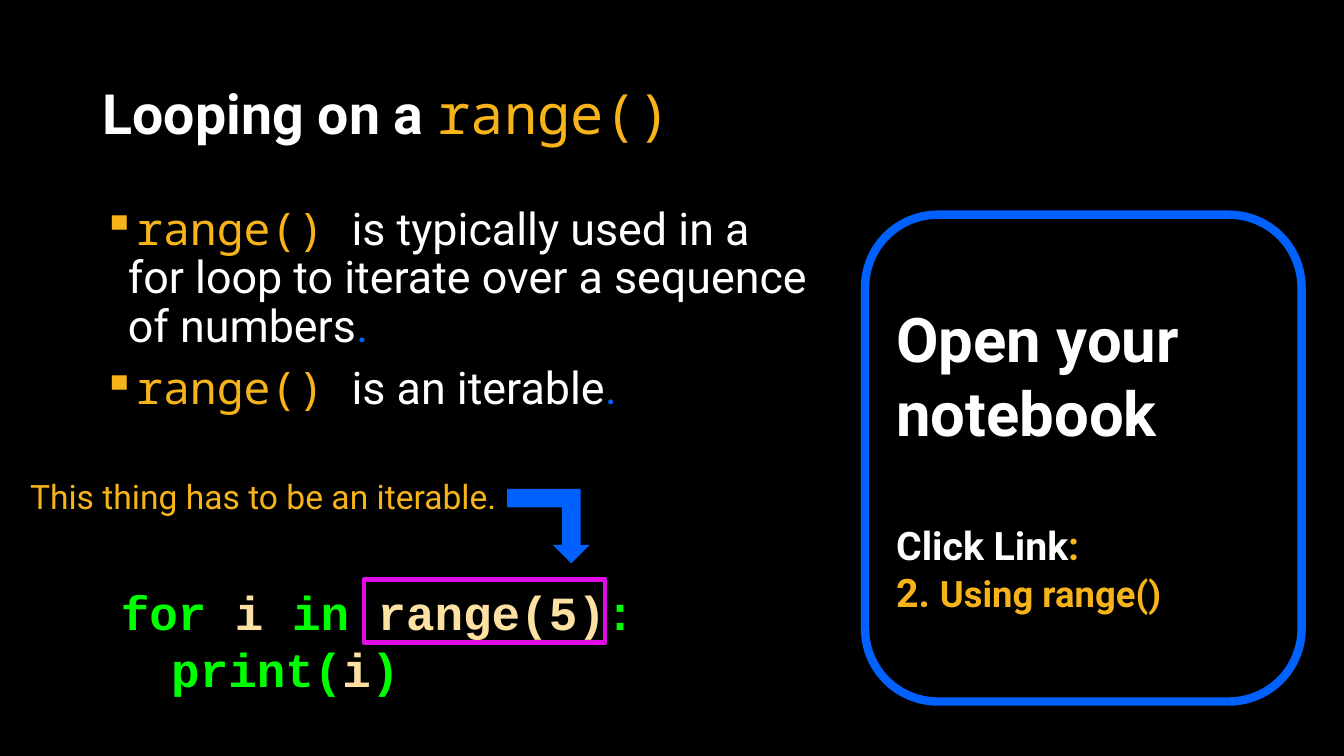
from lxml.etree import SubElement
from pptx import Presentation
from pptx.dml.color import RGBColor
from pptx.enum.shapes import MSO_SHAPE
from pptx.enum.text import MSO_ANCHOR, PP_ALIGN
from pptx.oxml.ns import qn
from pptx.util import Inches, Pt

WHITE, AMBER, BLUE = "FFFFFF", "F7B41A", "0061FF"
GREEN, SAND, MAGENTA = "00FF00", "FCE1A3", "E00BE5"
SANS, MONO, CODE = "Roboto", "Noto Sans Mono", "Courier New"


def rgb(value):
    return RGBColor.from_string(value)


def run(p, text, size, color=WHITE, font=SANS, bold=False):
    r = p.add_run()
    r.text = text
    r.font.size, r.font.name, r.font.bold = Pt(size), font, bold
    r.font.color.rgb = rgb(color)


def add_paragraph(tf, first=False, spacing=None, before=0):
    p = tf.paragraphs[0] if first else tf.add_paragraph()
    p.alignment = PP_ALIGN.LEFT
    p.line_spacing, p.space_before = spacing, Pt(before)
    return p


def text_frame(s, box, wrap=True, anchor=MSO_ANCHOR.TOP):
    tf = s.shapes.add_textbox(*map(Inches, box)).text_frame
    tf.word_wrap, tf.vertical_anchor = wrap, anchor
    return tf


def add_shape(s, kind, box, fill=None, line=None, width=0):
    sp = s.shapes.add_shape(kind, *map(Inches, box))
    sp.shadow.inherit = False
    if fill:
        sp.fill.solid()
        sp.fill.fore_color.rgb = rgb(fill)
    else:
        sp.fill.background()
    if line:
        sp.line.color.rgb = rgb(line)
        sp.line.width = Pt(width)
    else:
        sp.line.fill.background()
    return sp


def set_bullet(p, char, color, indent):
    pPr = p._p.get_or_add_pPr()
    pPr.set("marL", str(Inches(indent)))
    pPr.set("indent", str(-Inches(indent)))
    SubElement(SubElement(pPr, qn("a:buClr")), qn("a:srgbClr")).set("val", color)
    SubElement(pPr, qn("a:buChar")).set("char", char)


def title(s, box):
    p = add_paragraph(text_frame(s, box, anchor=MSO_ANCHOR.MIDDLE), True, 0.9)
    run(p, "Looping on a ", 39.6, bold=True)
    run(p, "range()", 39.6, AMBER, MONO)


def bullets(s, box, statements):
    tf = text_frame(s, box)
    for i, statement in enumerate(statements):
        p = add_paragraph(tf, i == 0, 0.9, 10)
        set_bullet(p, "▪", AMBER, 0.25)
        run(p, "range() ", 32, AMBER, MONO)
        run(p, statement, 32)
        run(p, ".", 32, BLUE)


def notebook_panel(s, box):
    sp = add_shape(s, MSO_SHAPE.ROUNDED_RECTANGLE, box, line=BLUE, width=6)
    tf = sp.text_frame
    tf.word_wrap, tf.vertical_anchor = True, MSO_ANCHOR.MIDDLE
    run(add_paragraph(tf, True), "Open your notebook", 44, bold=True)
    p = add_paragraph(tf, before=52)
    run(p, "Click Link", 28, bold=True)
    run(p, ":", 28, AMBER, bold=True)
    p = add_paragraph(tf)
    run(p, "2. ", 28, AMBER, bold=True)
    run(p, "Using range()", 26, AMBER, bold=True)


def code_example(s, box):
    left, top, width, height = box
    # Two lines of code
    lines = [
        [("for ", GREEN), ("i", SAND), (" in ", GREEN), ("range(5)", SAND), (":", GREEN)],
        [("\tprint(", GREEN), ("i", SAND), (")", GREEN)],
    ]
    tf = text_frame(s, box, wrap=False)
    for i, line in enumerate(lines):
        p = add_paragraph(tf, i == 0)
        for text, color in line:
            run(p, text, 34, color, CODE, True)
    # Frame around the iterable
    add_shape(s, MSO_SHAPE.RECTANGLE, (left + 2.51, top + 0.02, 2.39, height / 2),
              line=MAGENTA, width=3)
    # Caption and the arrow down to the frame
    tf = text_frame(s, (left - 0.9, top - 1.06, 4.87, 0.5), wrap=False)
    run(add_paragraph(tf, True), "This thing has to be an iterable.", 24, AMBER)
    arrow = add_shape(s, MSO_SHAPE.BENT_UP_ARROW,
                      (left + 3.93, top - 0.88, 0.82, 0.74), fill=BLUE)
    arrow._element.spPr.find(qn("a:xfrm")).set("flipV", "1")


def main():
    prs = Presentation()
    prs.slide_width, prs.slide_height = Inches(13.33), Inches(7.5)
    s = prs.slides.add_slide(prs.slide_layouts[6])
    s.background.fill.solid()
    s.background.fill.fore_color.rgb = rgb("000000")
    title(s, (0.92, 0.8, 11.5, 0.72))
    bullets(s, (0.92, 2, 7.23, 2.52), [
        "is typically used in a for loop to iterate over a sequence of numbers",
        "is an iterable",
    ])
    notebook_panel(s, (8.58, 2.13, 4.33, 4.83))
    code_example(s, (1.1, 5.73, 5.35, 1.25))
    prs.save("out.pptx")


if __name__ == "__main__":
    main()
